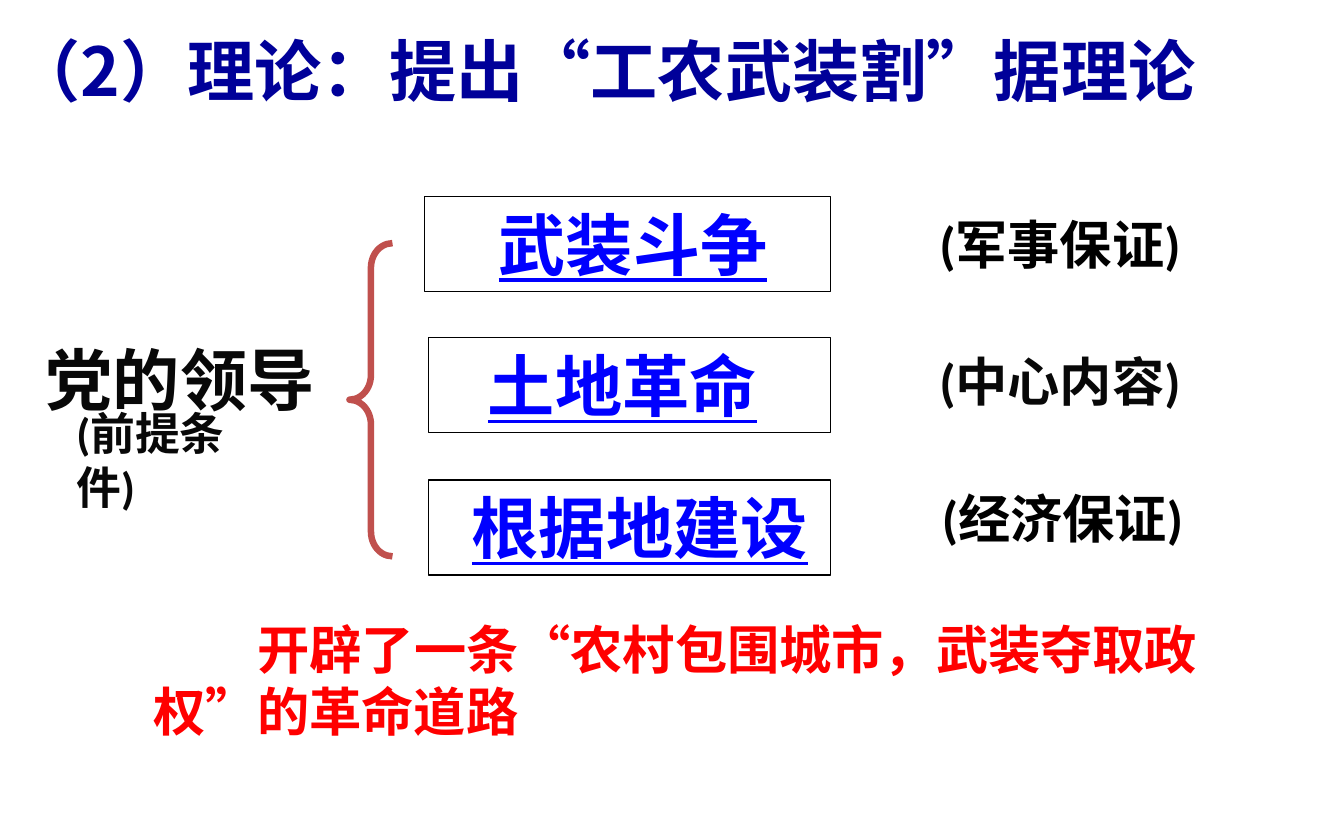
from lxml.etree import SubElement
from pptx import Presentation
from pptx.dml.color import RGBColor
from pptx.enum.shapes import MSO_SHAPE
from pptx.enum.text import MSO_ANCHOR, MSO_AUTO_SIZE, PP_ALIGN
from pptx.oxml.ns import qn
from pptx.util import Inches, Pt

HEX = {"navy": "000099", "blue": "0000FF", "red": "FF0000",
       "ink": "080808", "black": "000000", "brace": "C0504D"}
CJK = "Noto Sans CJK SC"
ROMAN = "Times New Roman"

TITLE = [("（2）理论：提出", CJK), ("“", "Arial"), ("工农武装割", CJK),
         ("”", "Arial"), ("据理论", CJK)]
BOXES = [
    ("武装斗争", (3.16, 1.46, 3.02, 0.71), 0.55),
    ("土地革命", (3.19, 2.51, 2.99, 0.71), 0.44),
    ("根据地建设", (3.19, 3.57, 2.99, 0.71), 0.32),
]
NOTES = [
    ("(军事保证)", (6.89, 1.53, 2.02, 0.57), "black"),
    ("(中心内容)", (6.89, 2.55, 2.05, 0.57), "ink"),
    ("(经济保证)", (6.91, 3.57, 2.02, 0.57), "black"),
]
ROOT = ("党的领导", (0.08, 2.47, 2.52, 0.71))
BASE = ("(前提条件)", (0.47, 2.97, 1.69, 0.5))
ROAD = ("开辟了一条“农村包围城市，武装夺取政权”的革命道路", (1.04, 4.54, 8.21, 1.04))
BRACE = (2.6, 1.81, 0.32, 2.33)


def color(name):
    """Return the named colour."""
    return RGBColor.from_string(HEX[name])


def write(shape, text, size=36, font=ROMAN, ink="ink", line=None,
          align=PP_ALIGN.LEFT, inset=0.1, indent=0):
    """Fill a shape with bold text, given as a string or (text, font) runs."""
    frame = shape.text_frame
    frame.word_wrap = True
    frame.auto_size = MSO_AUTO_SIZE.NONE
    frame.vertical_anchor = MSO_ANCHOR.TOP
    frame.margin_left = Inches(inset)
    para = frame.paragraphs[0]
    para.alignment = align
    if indent:
        para._p.get_or_add_pPr().set("indent", str(Pt(indent)))
    for part, face in [(text, font)] if isinstance(text, str) else text:
        run = para.add_run()
        run.text = part
        run.font.name = face
        run.font.size = Pt(size)
        run.font.bold = True
        run.font.underline = line
        run.font.color.rgb = color(ink)
        SubElement(run._r.get_or_add_rPr(), qn("a:ea"), typeface=CJK)


def build():
    """Build the slide and save it."""
    deck = Presentation()
    deck.slide_width, deck.slide_height = Inches(10), Inches(6.25)
    slide = deck.slides.add_slide(deck.slide_layouts[5])

    def label(item, **style):
        text, area = item
        box = slide.shapes.add_textbox(*map(Inches, area))
        write(box, text, **style)

    def shape(kind, area, ink, width):
        item = slide.shapes.add_shape(kind, *map(Inches, area))
        item.shadow.inherit = False
        item.fill.background()
        item.line.color.rgb = color(ink)
        item.line.width = Pt(width)
        return item

    head = slide.shapes.title
    head.left, head.top, head.width, head.height = map(Inches, (0, 0.17, 10, 0.71))
    write(head, TITLE, ink="navy")

    brace = shape(MSO_SHAPE.LEFT_BRACE, BRACE, "brace", 3.5)
    brace.adjustments[0] = 0.573
    label(ROOT, align=PP_ALIGN.CENTER)
    label(BASE, size=24, font="Calibri")

    for text, area, inset in BOXES:
        box = shape(MSO_SHAPE.RECTANGLE, area, "black", 0.75)
        write(box, text, ink="blue", line=True, inset=inset)
    for text, area, ink in NOTES:
        label((text, area), size=28, font="Calibri", ink=ink)

    label(ROAD, size=28, font=CJK, ink="red", indent=56)
    deck.save("out.pptx")


if __name__ == "__main__":
    build()
